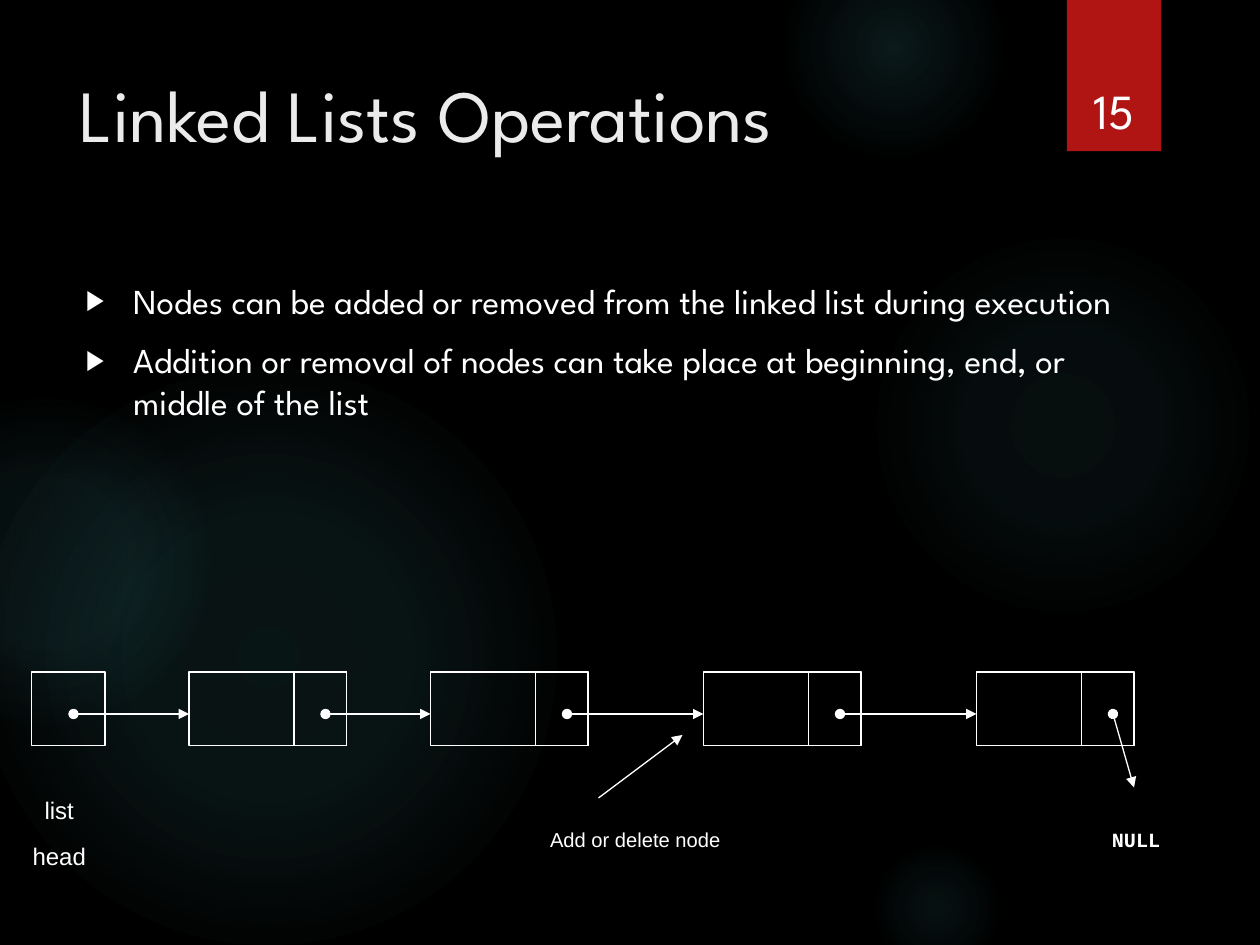
from lxml import etree
from pptx import Presentation
from pptx.dml.color import RGBColor
from pptx.enum import shapes, text
from pptx.oxml import parse_xml
from pptx.oxml.ns import nsdecls, qn
from pptx.util import Pt

PX = 7620  # 120 px to the inch
COLORS = {"black": "000000", "white": "FFFFFF", "title": "EBEBEB",
          "red": "B01513", "glow": "50B9C1"}
TITLE_FONT = "League Spartan"


def rgb(name):
    return RGBColor.from_string(COLORS[name])


def write(sp, lines, size, font=TITLE_FONT, color="white", bold=False,
          align="LEFT", anchor="TOP", wrap=True, spacing=None, before=0):
    tf = sp.text_frame
    tf.word_wrap = wrap
    tf.auto_size = text.MSO_AUTO_SIZE.NONE
    tf.vertical_anchor = text.MSO_ANCHOR[anchor]
    for i, line in enumerate(lines):
        p = tf.add_paragraph() if i else tf.paragraphs[0]
        p.alignment = text.PP_ALIGN[align]
        p.space_before = Pt(before)
        if spacing:
            p.line_spacing = Pt(spacing)
        r = p.add_run()
        r.text = line
        r.font.size, r.font.name, r.font.bold = Pt(size), font, bold
        r.font.color.rgb = rgb(color)


prs = Presentation()
prs.slide_width, prs.slide_height = 1200 * PX, 900 * PX
s = prs.slides.add_slide(prs.slide_layouts[5])
s.background.fill.solid()
s.background.fill.fore_color.rgb = rgb("black")

# Background glows: left, top, diameter, (stop %, alpha %)
glows = [
    (827, 220, 370, ((0, 7), (36, 6), (69, 0))),
    (746, -60, 210, ((0, 14), (36, 7), (73, 0))),
    (827, 800, 130, ((0, 9), (36, 5), (66, 0))),
    (-20, 350, 550, ((0, 11), (36, 10), (75, 0))),
    (-110, 380, 310, ((0, 8), (36, 8), (72, 0))),
]
for x, y, d, stops in glows:
    sp = s.shapes.add_shape(shapes.MSO_SHAPE.OVAL, x * PX, y * PX, d * PX, d * PX)
    sp.shadow.inherit = False
    sp.line.fill.background()
    gs = "".join(
        f'<a:gs pos="{pos * 1000}"><a:srgbClr val="{COLORS["glow"]}">'
        f'<a:alpha val="{alpha * 1000}"/></a:srgbClr></a:gs>' for pos, alpha in stops)
    grad = parse_xml(
        f'<a:gradFill {nsdecls("a")} rotWithShape="1"><a:gsLst>{gs}</a:gsLst>'
        '<a:path path="circle"><a:fillToRect l="50000" t="50000" r="50000" b="50000"/>'
        '</a:path></a:gradFill>')
    sp._element.spPr.find(qn("a:prstGeom")).addnext(grad)

# Page number tab
tab = s.shapes.add_shape(shapes.MSO_SHAPE.RECTANGLE, 1016 * PX, 0, 90 * PX, 144 * PX)
tab.shadow.inherit = False
tab.fill.solid()
tab.fill.fore_color.rgb = rgb("red")
tab.line.fill.background()
number = s.shapes.add_textbox(1019 * PX, 38 * PX, 83 * PX, 101 * PX)
write(number, ["15"], 28, align="CENTER", anchor="BOTTOM")

title = s.shapes.title
title.left, title.top, title.width, title.height = 64 * PX, 60 * PX, 926 * PX, 184 * PX
write(title, ["Linked Lists Operations"], 42, color="title")

body = s.shapes.add_textbox(70 * PX, 260 * PX, 1040 * PX, 540 * PX)
write(body, ["Nodes can be added or removed from the linked list during execution",
             "Addition or removal of nodes can take place at beginning, end, or "
             "middle of the list"], 20, before=10)
for p in body.text_frame.paragraphs:
    pPr = p._p.get_or_add_pPr()
    pPr.set("marL", str(45 * PX))
    pPr.set("indent", str(-45 * PX))
    color = etree.SubElement(pPr, qn("a:buClr"))
    etree.SubElement(color, qn("a:srgbClr"), val=COLORS["white"])
    etree.SubElement(pPr, qn("a:buSzPct"), val="80000")
    etree.SubElement(pPr, qn("a:buFont"), typeface="Arial")
    etree.SubElement(pPr, qn("a:buChar"), char="▶")

# List head, then each node with its pointer cell
nodes = [180, 410, 670, 930]
cells = [(30, 70)]
for x in nodes:
    cells += [(x, 150), (x + 100, 50)]
for x, w in cells:
    sp = s.shapes.add_shape(shapes.MSO_SHAPE.RECTANGLE, x * PX, 640 * PX, w * PX, 70 * PX)
    sp.shadow.inherit = False
    sp.fill.background()
    sp.line.color.rgb = rgb("white")
    sp.line.width = Pt(0.75)

# Pointers start at a dot inside a cell; the last one leads to NULL
starts = [70] + [x + 130 for x in nodes]
arrows = [(a, 680, b, 680, True) for a, b in zip(starts, nodes)]
arrows += [(starts[-1], 680, 1080, 750, True), (570, 760, 650, 700, False)]
for x1, y1, x2, y2, dot in arrows:
    c = s.shapes.add_connector(shapes.MSO_CONNECTOR.STRAIGHT,
                               x1 * PX, y1 * PX, x2 * PX, y2 * PX)
    c.line.color.rgb = rgb("white")
    c.line.width = Pt(0.75)
    ln = c.line._get_or_add_ln()
    if dot:
        etree.SubElement(ln, qn("a:headEnd"), type="oval")
    etree.SubElement(ln, qn("a:tailEnd"), type="triangle")
    etree.SubElement(c._element.spPr, qn("a:effectLst"))

# Labels: lines, left, top, width, height, format
labels = [
    (["NULL"], 1030, 750, 104, 60,
     dict(size=11.5, font="Courier New", bold=True, spacing=33, wrap=False)),
    (["list", "head"], 0, 736, 113, 89,
     dict(size=13.7, font="Arial", spacing=26, wrap=False)),
    (["Add or delete node"], 420, 760, 370, 52,
     dict(size=11.5, font="Arial", spacing=27)),
]
for lines, x, y, w, h, style in labels:
    sp = s.shapes.add_textbox(x * PX, y * PX, w * PX, h * PX)
    write(sp, lines, align="CENTER", **style)

prs.save("out.pptx")
